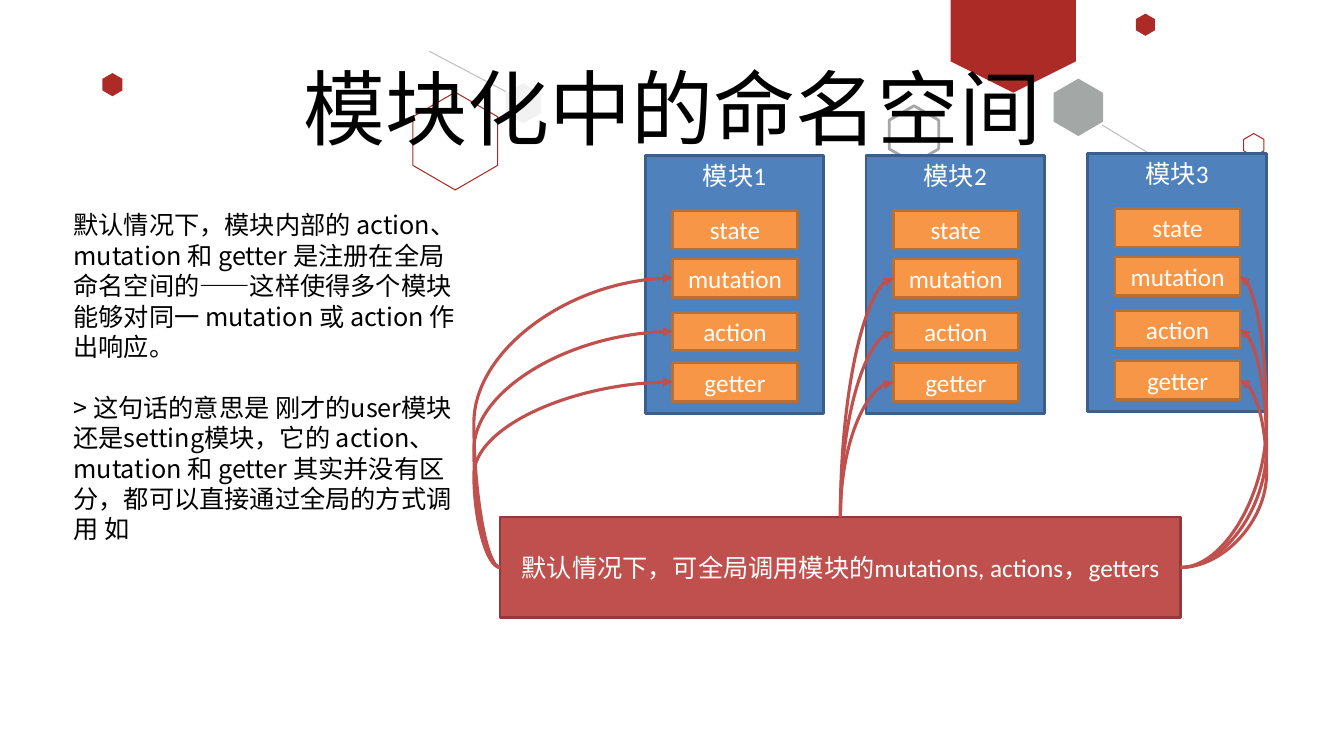
from lxml import etree
from pptx import Presentation
from pptx.dml.color import RGBColor
from pptx.enum.shapes import MSO_CONNECTOR, MSO_SHAPE
from pptx.enum.text import MSO_ANCHOR, PP_ALIGN
from pptx.oxml.ns import qn
from pptx.util import Inches, Pt

RECT, HEXAGON = MSO_SHAPE.RECTANGLE, MSO_SHAPE.HEXAGON
STRAIGHT, CURVE = MSO_CONNECTOR.STRAIGHT, MSO_CONNECTOR.CURVE
CENTER, TOP, MIDDLE = PP_ALIGN.CENTER, MSO_ANCHOR.TOP, MSO_ANCHOR.MIDDLE
BLACK = RGBColor(0x00, 0x00, 0x00)
WHITE = RGBColor(0xFF, 0xFF, 0xFF)
CRIMSON = RGBColor(0xAD, 0x2B, 0x26)
SLATE = RGBColor(0x49, 0x50, 0x4F)
GRAY = RGBColor(0xA6, 0xA6, 0xA6)
SILVER = RGBColor(0xBF, 0xBF, 0xBF)
PALE = RGBColor(0xF2, 0xF2, 0xF2)
BLUE, BLUE_EDGE = RGBColor(0x4F, 0x81, 0xBD), RGBColor(0x3A, 0x5F, 0x8C)
ORANGE, ORANGE_EDGE = RGBColor(0xF7, 0x96, 0x46), RGBColor(0xB7, 0x6F, 0x34)
RED, RED_EDGE = RGBColor(0xC0, 0x50, 0x4D), RGBColor(0x8E, 0x3B, 0x39)
CJK = "Noto Sans CJK JP"


def add_box(shapes, x, y, w, h, text, fill, edge, anchor=MIDDLE):
    s = shapes.add_shape(RECT, Inches(x), Inches(y), Inches(w), Inches(h))
    s.shadow.inherit = False
    s.fill.solid()
    s.fill.fore_color.rgb = fill
    s.line.color.rgb = edge
    s.line.width = Pt(2)
    tf = s.text_frame
    tf.vertical_anchor = anchor
    p = tf.paragraphs[0]
    p.text = text
    p.alignment = CENTER
    p.font.size = Pt(18)
    p.font.name = "Calibri"
    p.font.color.rgb = WHITE
    return s


def style_line(s, color, width):
    s.line.color.rgb = color
    s.line.width = Pt(width)
    etree.SubElement(s._element.spPr, qn("a:effectLst"))


prs = Presentation()
prs.slide_width, prs.slide_height = Inches(13.33), Inches(7.5)
slide = prs.slides.add_slide(prs.slide_layouts[5])
shapes = slide.shapes

# Background hexagons and lines
builder = shapes.build_freeform(Inches(9.43), Inches(-0.21), scale=1.0)
builder.add_line_segments([(Inches(x), Inches(y)) for x, y in
                           [(10.67, -0.21), (10.67, 0.61), (10.05, 0.92), (9.43, 0.61)]])
s = builder.convert_to_shape()
s.shadow.inherit = False
s.fill.solid()
s.fill.fore_color.rgb = CRIMSON
s.line.fill.background()

# x, y, width, height, fill, line colour, line width
for x, y, w, h, fill, edge, width in [
    (10.41, 0.82, 0.57, 0.49, SLATE, None, 0),
    (8.78, 1.09, 0.57, 0.49, None, GRAY, 2),
    (11.25, 0.15, 0.22, 0.19, CRIMSON, None, 0),
    (4.03, 0.98, 0.97, 0.84, None, CRIMSON, 0.75),
    (12.32, 1.34, 0.23, 0.2, None, CRIMSON, 0.75),
    (1, 0.74, 0.23, 0.2, CRIMSON, None, 0),
    (4.99, 0.85, 0.4, 0.35, PALE, None, 0),
]:
    s = shapes.add_shape(HEXAGON, Inches(x), Inches(y), Inches(w), Inches(h))
    s.shadow.inherit = False
    s.rotation = 90
    s.adjustments[0] = 0.29
    if fill is None:
        s.fill.background()
        s.line.color.rgb = edge
        s.line.width = Pt(width)
    else:
        s.fill.solid()
        s.fill.fore_color.rgb = fill
        s.line.fill.background()
    if fill == SLATE:
        color = s._element.spPr.find(qn("a:solidFill"))[0]
        etree.SubElement(color, qn("a:alpha"), val="50000")

for x1, y1, x2, y2 in [(10.93, 1.24, 11.64, 1.67), (4.26, 0.51, 5.02, 0.91)]:
    s = shapes.add_connector(STRAIGHT, Inches(x1), Inches(y1), Inches(x2), Inches(y2))
    style_line(s, SILVER, 0.75)

# Title, in front of the background
title = shapes.title
shapes._spTree.append(title._element)
title.left, title.top = Inches(0.92), Inches(0.4)
title.width, title.height = Inches(11.5), Inches(1.45)
tf = title.text_frame
tf.vertical_anchor = MIDDLE
p = tf.paragraphs[0]
p.text = "模块化中的命名空间"
p.alignment = CENTER
p.line_spacing = 0.9
p.font.size = Pt(58.6)
p.font.name = CJK
p.font.color.rgb = BLACK

# Explanation
tf = shapes.add_textbox(Inches(0.63), Inches(2.03), Inches(4.09), Inches(3.43)).text_frame
tf.word_wrap = True
for i, text in enumerate([
    "默认情况下，模块内部的 action、mutation 和 getter 是注册在全局命名空间的——这样使得多个模块能够对同一 mutation 或 action 作出响应。",
    "> 这句话的意思是 刚才的user模块还是setting模块，它的 action、mutation 和 getter 其实并没有区分，都可以直接通过全局的方式调用 如",
]):
    p = tf.add_paragraph() if i else tf.paragraphs[0]
    p.text = text
    p.line_spacing = Pt(21.7)
    p.space_before = Pt(21.7 * i)
    p.font.size = Pt(18)
    p.font.name = CJK
    p.font.color.rgb = BLACK

# Modules
modules = []
for number, (x, y) in enumerate([(6.4, 1.54), (8.59, 1.54), (10.79, 1.52)], 1):
    group = shapes.add_group_shape().shapes
    add_box(group, x, y, 1.77, 2.56, f"模块{number}", BLUE, BLUE_EDGE, TOP)
    modules.append([
        add_box(group, x + 0.27, y + dy, 1.24, 0.38, part, ORANGE, ORANGE_EDGE)
        for part, dy in [("state", 0.55), ("mutation", 1.03), ("action", 1.56), ("getter", 2.06)]
    ])

caller = add_box(shapes, 4.96, 5.13, 6.75, 1,
                 "默认情况下，可全局调用模块的mutations, actions，getters", RED, RED_EDGE)

# Arrows to all parts but state; sites are 0 top, 1 left, 2 bottom, 3 right
for parts, start, end, bend in zip(modules, (1, 0, 3), (1, 1, 3), (-0.152, None, 1.444)):
    for part in parts[1:]:
        s = shapes.add_connector(CURVE, 0, 0, 0, 0)
        s.begin_connect(caller, start)
        s.end_connect(part, end)
        style_line(s, RED, 2.25)
        etree.SubElement(s.line._get_or_add_ln(), qn("a:tailEnd"), type="triangle")
        geometry = s._element.spPr.find(qn("a:prstGeom"))
        if bend is not None:
            guides = geometry.find(qn("a:avLst"))
            etree.SubElement(guides, qn("a:gd"), name="adj1", fmla=f"val {round(bend * 100000)}")
        else:
            # A quarter curve that leaves upwards: turned by 270 degrees about its centre
            geometry.set("prst", "curvedConnector2")
            shift = (s.width - s.height) // 2
            s.left, s.top = s.left + shift, s.top - shift
            s.width, s.height = s.height, s.width
            xfrm = s._element.spPr.find(qn("a:xfrm"))
            xfrm.set("rot", "16200000")
            xfrm.attrib.pop("flipV", None)

prs.save("out.pptx")
